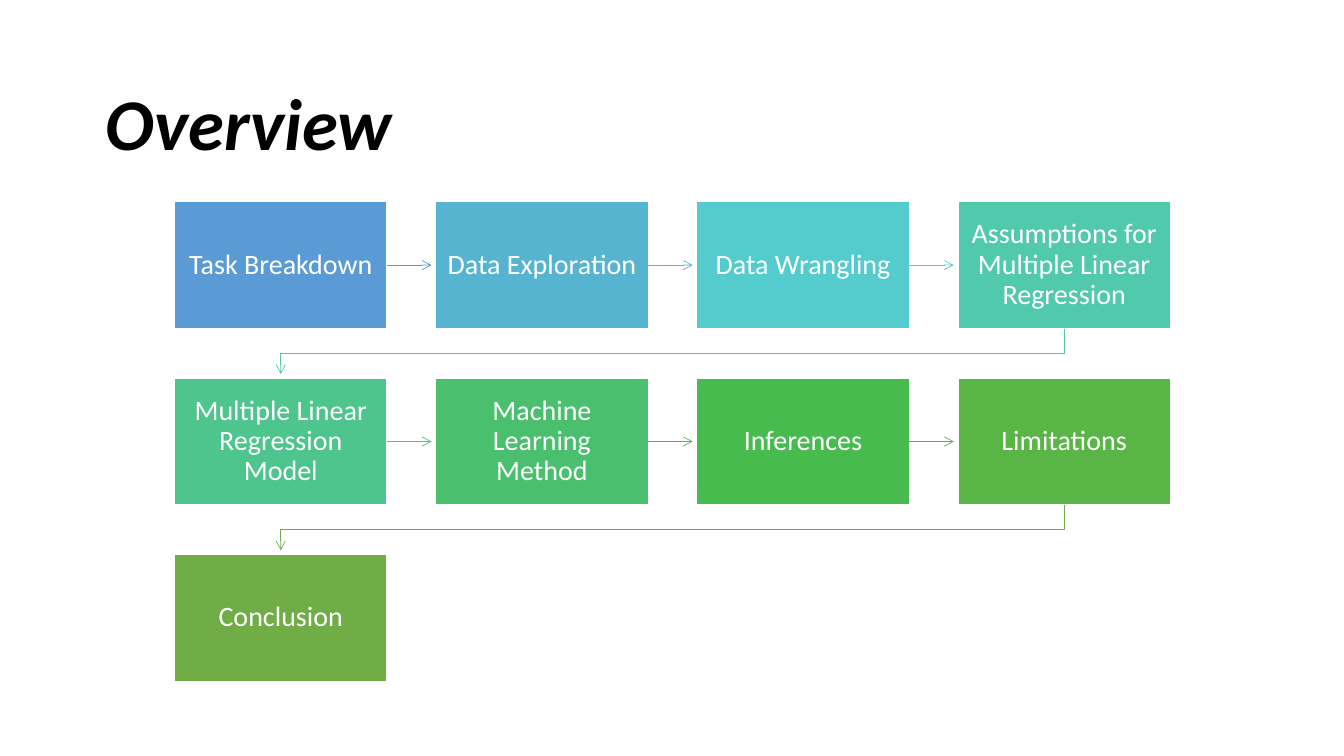
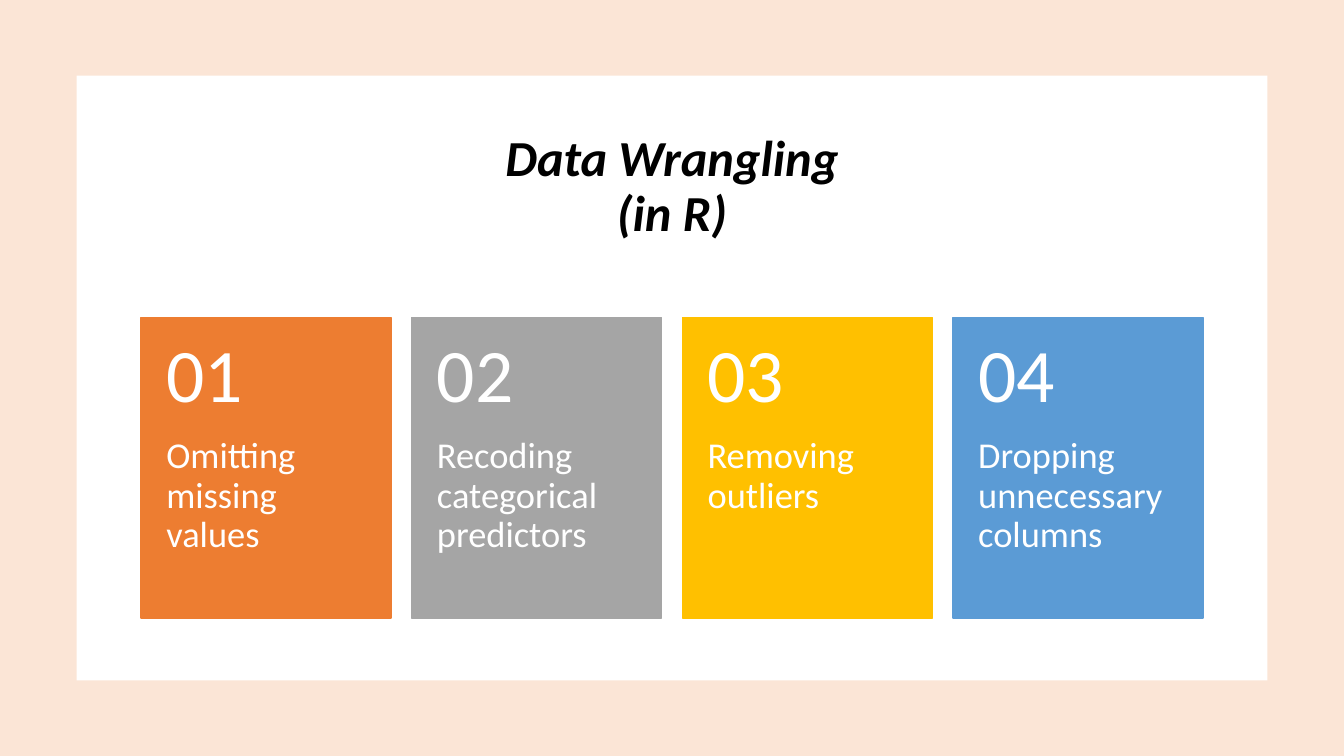
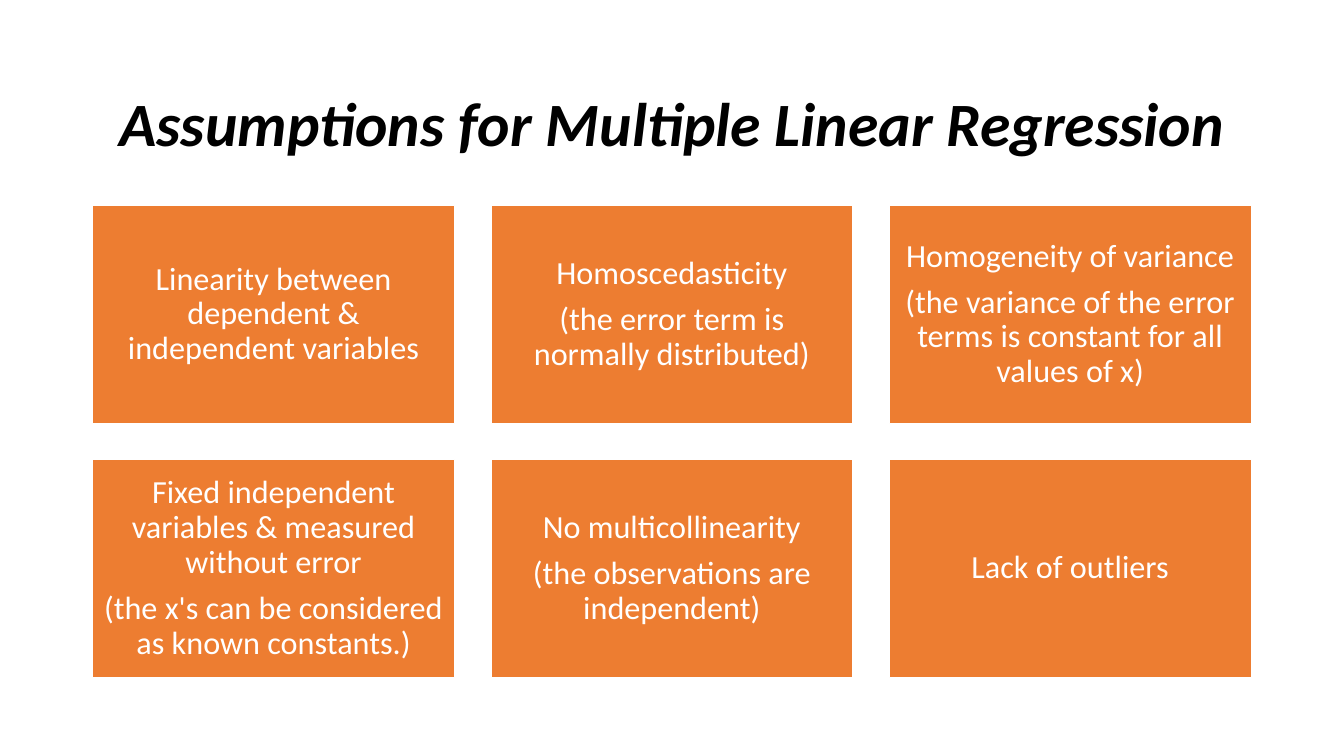
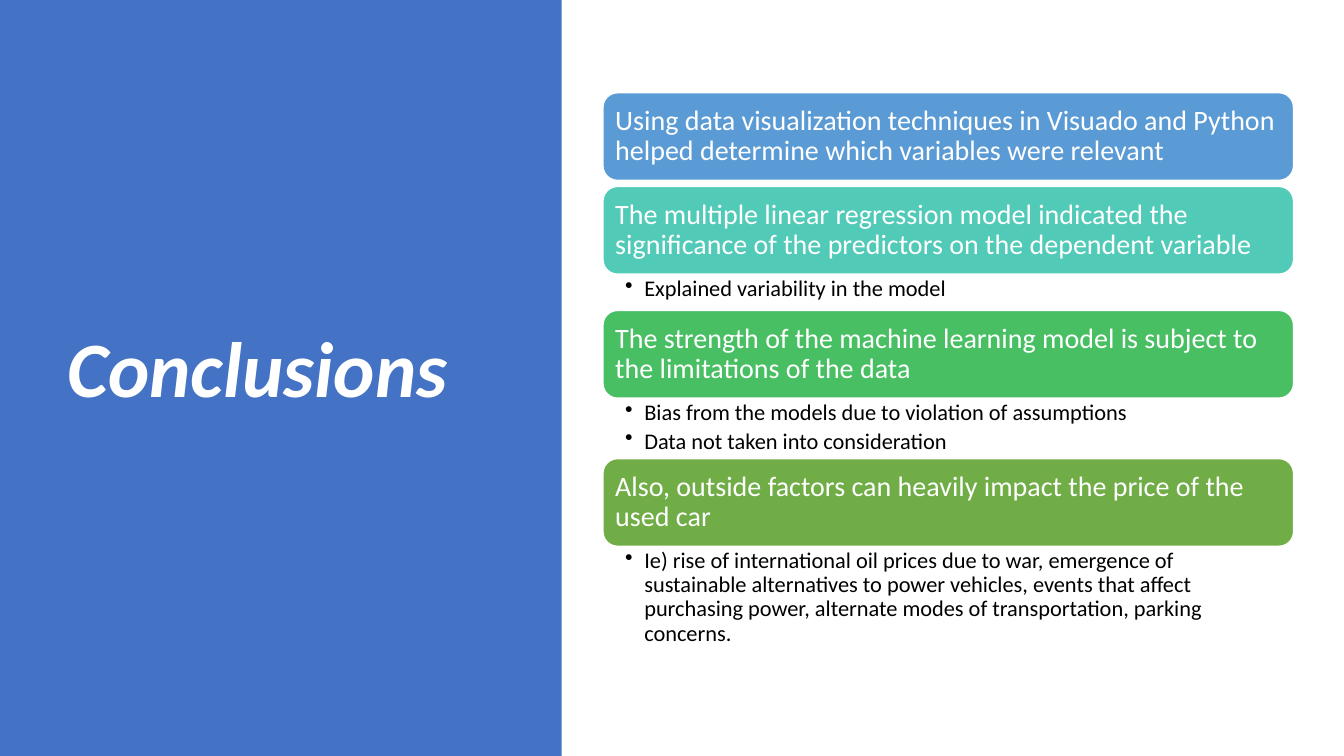
from lxml import etree
from pptx import Presentation
from pptx.dml.color import RGBColor
from pptx.enum.shapes import MSO_CONNECTOR, MSO_SHAPE
from pptx.enum.text import MSO_ANCHOR, MSO_AUTO_SIZE, PP_ALIGN
from pptx.oxml.ns import qn
from pptx.util import Inches, Pt

RECTANGLE = MSO_SHAPE.RECTANGLE
ROUNDED = MSO_SHAPE.ROUNDED_RECTANGLE
STRAIGHT = MSO_CONNECTOR.STRAIGHT
TOP = MSO_ANCHOR.TOP
MIDDLE = MSO_ANCHOR.MIDDLE
LEFT = PP_ALIGN.LEFT
CENTER = PP_ALIGN.CENTER
NO_AUTOFIT = MSO_AUTO_SIZE.NONE

FONT = "Calibri"
LINE_SPACING = 0.9
TITLE_ONLY = 5
SLIDE_WIDTH = 13.33
SLIDE_HEIGHT = 7.5

COLORS = {
    "white": "FFFFFF",
    "black": "000000",
    "peach": "FBE5D6",
    "orange": "ED7D31",
    "gray": "A5A5A5",
    "gold": "FFC000",
    "navy": "4472C4",
    "blue": "5B9BD5",
    "sky": "57B4D1",
    "cyan": "54CCCD",
    "aqua": "52CAB8",
    "turquoise": "51C9AD",
    "mint": "4DC58D",
    "emerald": "4AC06E",
    "jade": "49BF64",
    "green": "48BB4F",
    "grass": "59B546",
    "olive": "70AD47",
    "sky arrow": "57B7D1",
    "cyan arrow": "53CCC5",
    "turquoise arrow": "4FC7A0",
    "mint arrow": "4CC27B",
    "emerald arrow": "48BD58",
    "green arrow": "55B646",
}

OVERVIEW_STEPS = [
    ("Task Breakdown", "blue", "blue"),
    ("Data Exploration", "sky", "sky arrow"),
    ("Data Wrangling", "cyan", "cyan arrow"),
    ("Assumptions for Multiple Linear Regression", "turquoise", "turquoise arrow"),
    ("Multiple Linear Regression Model", "mint", "mint arrow"),
    ("Machine Learning Method", "emerald", "emerald arrow"),
    ("Inferences", "green", "green arrow"),
    ("Limitations", "grass", "olive"),
    ("Conclusion", "olive", None),
]

WRANGLING_CARDS = [
    ("Omitting missing values", "orange"),
    ("Recoding categorical predictors", "gray"),
    ("Removing outliers", "gold"),
    ("Dropping unnecessary columns", "blue"),
]

ASSUMPTIONS = [
    ["Linearity between dependent & independent variables"],
    ["Homoscedasticity", "(the error term is normally distributed)"],
    ["Homogeneity of variance",
     "(the variance of the error terms is constant for all values of x)"],
    ["Fixed independent variables & measured without error",
     "(the x's can be considered as known constants.)"],
    ["No multicollinearity", "(the observations are independent)"],
    ["Lack of outliers"],
]

CONCLUSIONS = [
    ("Using data visualization techniques in Visuado and Python helped determine "
     "which variables were relevant", "blue", [], 0.06),
    ("The multiple linear regression model indicated the significance of the "
     "predictors on the dependent variable", "aqua",
     ["Explained variability in the model"], 0.36),
    ("The strength of the machine learning model is subject to the limitations "
     "of the data", "jade",
     ["Bias from the models due to violation of assumptions",
      "Data not taken into consideration"], 0.6),
    ("Also, outside factors can heavily impact the price of the used car", "olive",
     ["Ie) rise of international oil prices due to war, emergence of sustainable "
      "alternatives to power vehicles, events that affect purchasing power, "
      "alternate modes of transportation, parking concerns."], 1.04),
]


def rgb(color):
    return RGBColor.from_string(COLORS[color])


def add_bullet(paragraph):
    properties = paragraph._p.get_or_add_pPr()
    properties.set("marL", str(Inches(0.19)))
    properties.set("indent", str(-Inches(0.19)))
    etree.SubElement(properties, qn("a:buChar")).set("char", "•")


def set_text(shape, lines, size, color="white", align=LEFT, anchor=MIDDLE,
             insets=(0.1, 0.05, 0.1, 0.05), gap=0.35, emphasis=False, bullet=False):
    frame = shape.text_frame
    frame.text = "\n".join(lines)
    frame.word_wrap = True
    frame.auto_size = NO_AUTOFIT
    frame.vertical_anchor = anchor
    (frame.margin_left, frame.margin_top,
     frame.margin_right, frame.margin_bottom) = map(Inches, insets)
    for index, paragraph in enumerate(frame.paragraphs):
        if bullet:
            add_bullet(paragraph)
        paragraph.alignment = align
        paragraph.line_spacing = LINE_SPACING
        if index:
            paragraph.space_before = Pt(round(size * gap, 1))
        for run in paragraph.runs:
            run.font.name = FONT
            run.font.size = Pt(size)
            run.font.bold = emphasis
            run.font.italic = emphasis
            run.font.color.rgb = rgb(color)


def add_box(slide, bounds, fill, line=None, kind=RECTANGLE):
    box = slide.shapes.add_shape(kind, *map(Inches, bounds))
    box.shadow.inherit = False
    box.fill.solid()
    box.fill.fore_color.rgb = rgb(fill)
    if line:
        box.line.color.rgb = rgb(line)
        box.line.width = Pt(1)
    else:
        box.line.fill.background()
    return box


def add_label(slide, bounds, lines, size, **style):
    label = slide.shapes.add_textbox(*map(Inches, bounds))
    set_text(label, lines, size, **style)


def add_title(slide, text, bounds, size, color="black", align=CENTER):
    title = slide.shapes.title
    title.left, title.top, title.width, title.height = map(Inches, bounds)
    set_text(title, [text], size, color, align, emphasis=True)
    title.element.getparent().append(title.element)


def style_arrow(arrow, color):
    arrow.line.color.rgb = rgb(color)
    arrow.line.width = Pt(0.5)
    properties = arrow.element.spPr
    etree.SubElement(properties.find(qn("a:ln")), qn("a:tailEnd")).set("type", "arrow")
    etree.SubElement(properties, qn("a:effectLst"))


def add_straight_arrow(slide, left, right, y, color):
    arrow = slide.shapes.add_connector(
        STRAIGHT, Inches(left), Inches(y), Inches(right), Inches(y))
    style_arrow(arrow, color)


def add_bent_arrow(slide, points, color):
    start, *corners = [(Inches(x), Inches(y)) for x, y in points]
    builder = slide.shapes.build_freeform(*start)
    builder.add_line_segments(corners, close=False)
    arrow = builder.convert_to_shape()
    arrow.fill.background()
    style_arrow(arrow, color)


def build_overview(slide):
    add_title(slide, "Overview", (0.92, 0.64, 3.1, 1.24), 52)
    columns, width, height = 4, 2.11, 1.26
    left, top, column_step, row_step = 1.73, 2, 2.59, 1.75
    for index, (text, fill, arrow_color) in enumerate(OVERVIEW_STEPS):
        row, column = divmod(index, columns)
        x, y = left + column * column_step, top + row * row_step
        box = add_box(slide, (x, y, width, height), fill, "white")
        set_text(box, [text], 20, align=CENTER, insets=(0.1, 0.11, 0.1, 0.11))
        if arrow_color is None:
            continue
        if column < columns - 1:
            add_straight_arrow(slide, x + width, x + column_step - 0.04,
                               y + height / 2, arrow_color)
        else:
            start, end = x + width / 2, left + width / 2
            bend = y + (height + row_step) / 2
            add_bent_arrow(slide, [(start, y + height), (start, bend), (end, bend),
                                   (end, y + row_step - 0.04)], arrow_color)


def build_wrangling(slide):
    add_box(slide, (0, 0, SLIDE_WIDTH, SLIDE_HEIGHT), "peach")
    add_box(slide, (0.76, 0.75, 11.81, 6), "white")
    add_title(slide, "Data Wrangling\v(in R)", (1.92, 1.13, 9.49, 1.46), 36)
    top, width, height, number_height = 3.15, 2.48, 2.98, 1.19
    for index, (text, color) in enumerate(WRANGLING_CARDS):
        x = 1.4 + index * 2.684
        add_box(slide, (x, top, width, height), color, color)
        add_label(slide, (x, top + number_height, width, height - number_height),
                  [text], 26, anchor=TOP, insets=(0.25, 0, 0.25, 0.36))
        add_label(slide, (x, top, width, number_height), [f"{index + 1:02}"], 54,
                  insets=(0.25, 0.18, 0.25, 0.18))


def build_assumptions(slide):
    add_title(slide, "Assumptions for Multiple Linear Regression",
              (0.92, 0.64, 11.5, 1.24), 44)
    for index, lines in enumerate(ASSUMPTIONS):
        row, column = divmod(index, 3)
        bounds = (0.92 + column * 3.95, 2.04 + row * 2.52, 3.59, 2.16)
        box = add_box(slide, bounds, "orange", "white")
        set_text(box, lines, 23, align=CENTER, insets=(0.1, 0.1, 0.1, 0.1))


def build_conclusions(slide):
    add_box(slide, (0, 0, 5.57, SLIDE_HEIGHT), "navy")
    add_title(slide, "Conclusions", (0.57, 0.68, 4.16, 6.02), 56, "white", LEFT)
    left, top, width, height = 5.98, 0.92, 6.85, 0.87
    for text, color, details, space_below in CONCLUSIONS:
        box = add_box(slide, (left, top, width, height), color, "white", ROUNDED)
        set_text(box, [text], 20, insets=(0.08, 0.08, 0.08, 0.08))
        top += height
        if details:
            add_label(slide, (left, top, width, space_below), details, 16,
                      color="black", anchor=TOP, insets=(0.22, 0.03, 0.16, 0.03),
                      gap=0.2, bullet=True)
        top += space_below


def main():
    presentation = Presentation()
    presentation.slide_width = Inches(SLIDE_WIDTH)
    presentation.slide_height = Inches(SLIDE_HEIGHT)
    layout = presentation.slide_layouts[TITLE_ONLY]
    for build in (build_overview, build_wrangling, build_assumptions, build_conclusions):
        build(presentation.slides.add_slide(layout))
    presentation.save("out.pptx")


if __name__ == "__main__":
    main()
